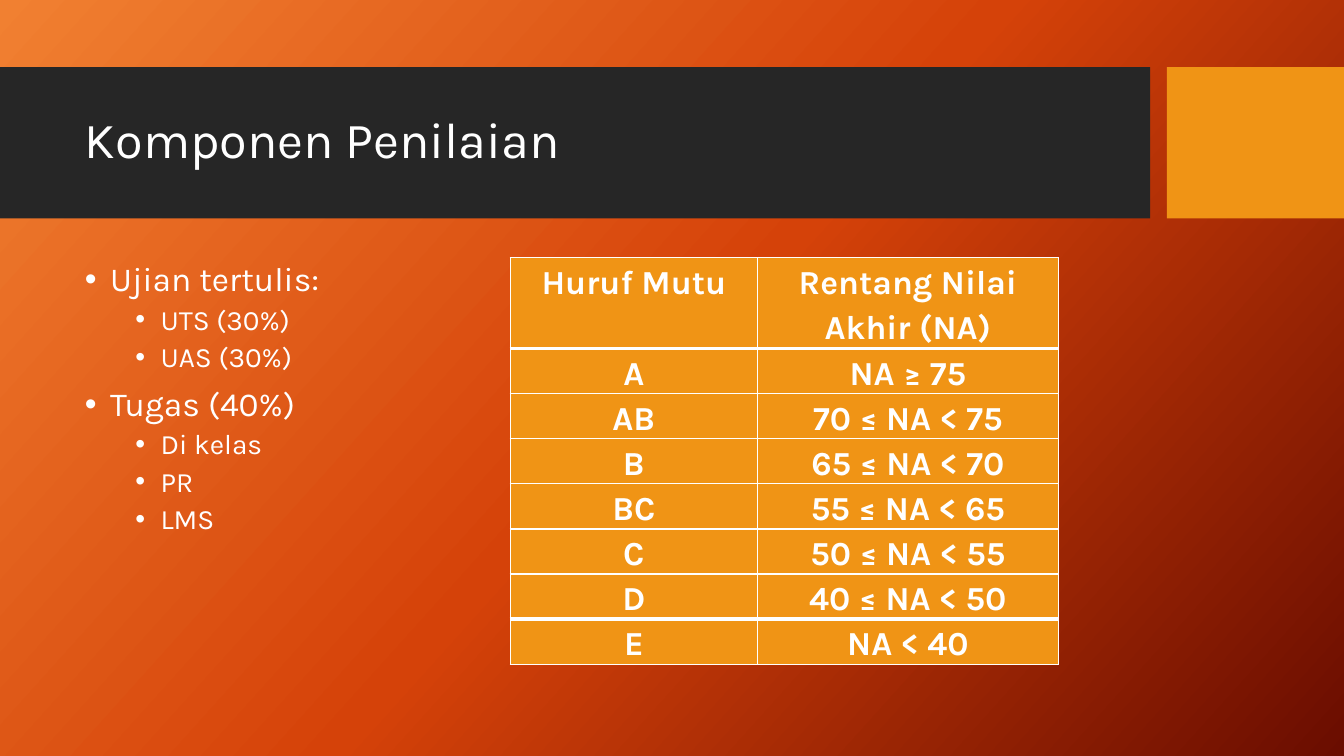
"""Build the slide on grading components with its letter-grade table."""
from pptx import Presentation
from pptx.dml.color import RGBColor
from pptx.enum.shapes import MSO_SHAPE
from pptx.enum.text import MSO_ANCHOR, MSO_AUTO_SIZE, PP_ALIGN
from pptx.oxml import parse_xml
from pptx.oxml.ns import nsdecls, qn
from pptx.util import Pt

TITLE = "Komponen Penilaian"
COMPONENTS = [
    ("Ujian tertulis:", ["UTS (30%)", "UAS (30%)"]),
    ("Tugas (40%)", ["Di kelas", "PR", "LMS"]),
]
GRADES = [
    ("Huruf Mutu", "Rentang Nilai Akhir (NA)"),
    ("A", "NA ≥ 75"),
    ("AB", "70 ≤ NA < 75"),
    ("B", "65 ≤ NA < 70"),
    ("BC", "55 ≤ NA < 65"),
    ("C", "50 ≤ NA < 55"),
    ("D", "40 ≤ NA < 50"),
    ("E", "NA < 40"),
]

FONT = "Karla"
WHITE = RGBColor(0xFF, 0xFF, 0xFF)
DARK = RGBColor(0x26, 0x26, 0x26)
ORANGE = RGBColor(0xF0, 0x94, 0x15)
BACKGROUND = [
    (0, RGBColor(0xF1, 0x80, 0x31)),
    (50, RGBColor(0xD5, 0x42, 0x09)),
    (100, RGBColor(0x6A, 0x0D, 0x00)),
]
BACKGROUND_ANGLE = 42

WIDTH, HEIGHT = 960, 540
BAND_TOP, BAND_HEIGHT = 48, 108
BANDS = [(0, 821.5, DARK), (833.5, WIDTH - 833.5, ORANGE)]
TITLE_BOX = (53.5, 59, 757, 85)
BODY_BOX = (53.5, 184, 757, 284)
LEVELS = [(24, 18, 10), (20, 54, 5)]
HANGING = 18
TABLE_LEFT, TABLE_TOP = 364.5, 184
COLUMNS = (176.5, 215)
HEADER_HEIGHT, ROW_HEIGHT = 65, 31
THIN, THICK = 1, 3


def place(shape, box):
    shape.left, shape.top, shape.width, shape.height = map(Pt, box)


def add_run(p, text, size, bold=False):
    r = p.add_run()
    r.text = text
    r.font.name, r.font.size, r.font.bold = FONT, Pt(size), bold
    r.font.color.rgb = WHITE


def paint_background(s):
    fill = s.background.fill
    fill.gradient()
    fill.gradient_angle = 360 - BACKGROUND_ANGLE
    stops = "".join(
        f'<a:gs pos="{pos * 1000}"><a:srgbClr val="{color}"/></a:gs>'
        for pos, color in BACKGROUND
    )
    old = s.element.find(".//" + qn("a:gsLst"))
    new = parse_xml(f'<a:gsLst {nsdecls("a")}>{stops}</a:gsLst>')
    old.getparent().replace(old, new)


def add_bands(s):
    for left, width, color in BANDS:
        band = s.shapes.add_shape(
            MSO_SHAPE.RECTANGLE, Pt(left), Pt(BAND_TOP), Pt(width), Pt(BAND_HEIGHT)
        )
        band.shadow.inherit = False
        band.fill.solid()
        band.fill.fore_color.rgb = color
        band.line.fill.background()
        s.shapes.element.insert(2, band.element)


def fill_title(title):
    place(title, TITLE_BOX)
    tf = title.text_frame
    tf.auto_size = MSO_AUTO_SIZE.NONE
    tf.vertical_anchor = MSO_ANCHOR.MIDDLE
    p = tf.paragraphs[0]
    p.alignment, p.line_spacing = PP_ALIGN.LEFT, 0.9
    add_run(p, TITLE, 36)


def fill_body(body):
    place(body, BODY_BOX)
    tf = body.text_frame
    tf.auto_size = MSO_AUTO_SIZE.NONE
    lines = []
    for heading, details in COMPONENTS:
        lines += [(0, heading)] + [(1, detail) for detail in details]
    for i, (level, text) in enumerate(lines):
        p = tf.add_paragraph() if i else tf.paragraphs[0]
        size, indent, before = LEVELS[level]
        p.level, p.line_spacing, p.space_before = level, 0.9, Pt(before)
        pPr = p._p.get_or_add_pPr()
        pPr.set("marL", str(Pt(indent)))
        pPr.set("indent", str(-Pt(HANGING)))
        pPr.append(parse_xml(f'<a:buFont {nsdecls("a")} typeface="Arial"/>'))
        pPr.append(parse_xml(f'<a:buChar {nsdecls("a")} char="•"/>'))
        add_run(p, text, size)


def set_borders(cell, top, bottom):
    tcPr = cell._tc.get_or_add_tcPr()
    sides = [("L", THIN), ("R", THIN), ("T", top), ("B", bottom)]
    for i, (side, width) in enumerate(sides):
        tcPr.insert(i, parse_xml(
            f'<a:ln{side} {nsdecls("a")} w="{Pt(width)}"><a:solidFill>'
            f'<a:srgbClr val="{WHITE}"/></a:solidFill></a:ln{side}>'
        ))


def add_grades(s):
    last = len(GRADES) - 1
    heights = [HEADER_HEIGHT] + [ROW_HEIGHT] * last
    table = s.shapes.add_table(
        len(GRADES), len(COLUMNS), Pt(TABLE_LEFT), Pt(TABLE_TOP),
        Pt(sum(COLUMNS)), Pt(sum(heights)),
    ).table
    table.first_row = table.horz_banding = False
    for column, width in zip(table.columns, COLUMNS):
        column.width = Pt(width)
    for i, values in enumerate(GRADES):
        table.rows[i].height = Pt(heights[i])
        top = THICK if i in (1, last) else THIN
        bottom = THICK if i in (0, last - 1) else THIN
        for j, text in enumerate(values):
            cell = table.cell(i, j)
            cell.margin_left = cell.margin_right = Pt(5)
            cell.margin_top = cell.margin_bottom = 0
            cell.fill.solid()
            cell.fill.fore_color.rgb = ORANGE
            set_borders(cell, top, bottom)
            p = cell.text_frame.paragraphs[0]
            p.alignment, p.line_spacing = PP_ALIGN.CENTER, 1.15
            if i == 0:
                p.space_before = p.space_after = Pt(6)
            add_run(p, text, 24, bold=True)


def main():
    prs = Presentation()
    prs.slide_width, prs.slide_height = Pt(WIDTH), Pt(HEIGHT)
    s = prs.slides.add_slide(prs.slide_layouts[1])
    paint_background(s)
    add_bands(s)
    fill_title(s.shapes.title)
    fill_body(s.placeholders[1])
    add_grades(s)
    prs.save("out.pptx")


if __name__ == "__main__":
    main()
